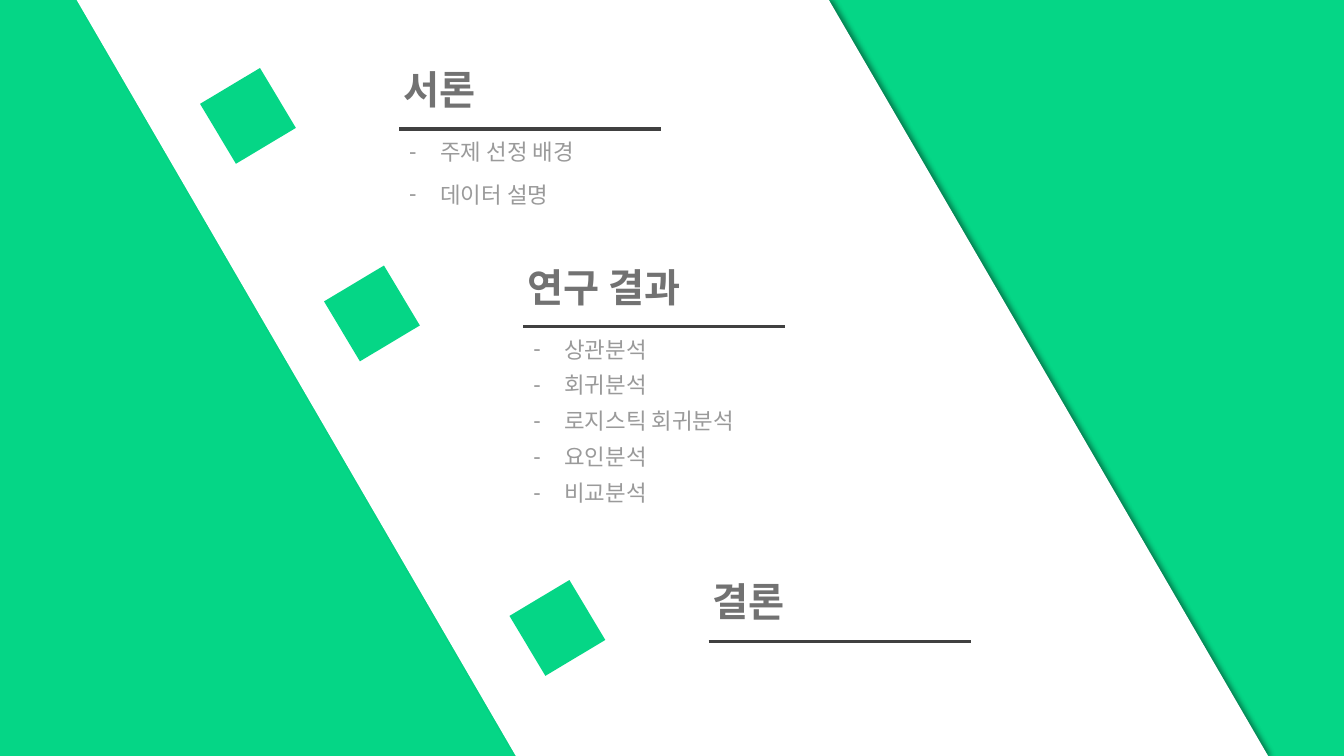
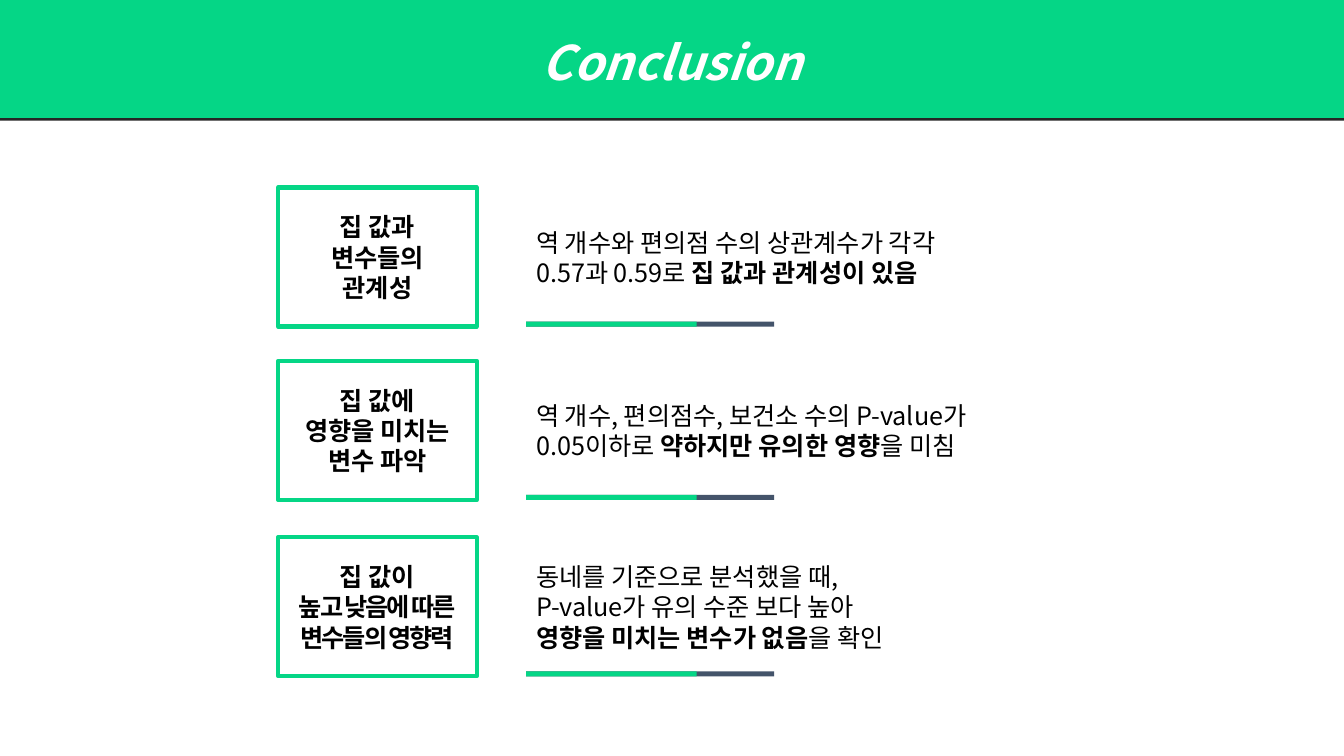
from dataclasses import dataclass, field

from lxml import etree
from pptx import Presentation
from pptx.dml.color import RGBColor
from pptx.enum.shapes import MSO_CONNECTOR, MSO_SHAPE
from pptx.enum.text import MSO_ANCHOR, MSO_AUTO_SIZE, PP_ALIGN
from pptx.oxml.ns import qn
from pptx.util import Inches, Pt

LEFT, CENTER = PP_ALIGN.LEFT, PP_ALIGN.CENTER
TOP, MIDDLE = MSO_ANCHOR.TOP, MSO_ANCHOR.MIDDLE
NO_FIT = MSO_AUTO_SIZE.NONE
RECT, DIAMOND = MSO_SHAPE.RECTANGLE, MSO_SHAPE.DIAMOND
PARALLELOGRAM, STRAIGHT = MSO_SHAPE.PARALLELOGRAM, MSO_CONNECTOR.STRAIGHT
CELL = Inches(0.1)
COLS, ROWS = 133.33, 75
COMPARISON, TITLE_ONLY = 4, 5


@dataclass(frozen=True)
class Theme:
    """Colours, font and text styles of the deck."""

    font: str = "Noto Sans CJK KR"
    green: str = "05D686"
    white: str = "FFFFFF"
    black: str = "000000"
    slate: str = "44546A"
    rule: str = "404040"
    edge: str = "262626"
    styles: dict = field(default_factory=lambda: {
        "title": ("FFFFFF", {"size": Pt(34), "bold": True, "italic": True}),
        "heading": ("727272", {"size": Pt(28), "bold": True}),
        "item": ("9A9A9A", {"size": Pt(16), "bold": False}),
        "label": ("000000", {"size": Pt(18), "bold": True}),
        "text": ("000000", {"size": Pt(18), "bold": False}),
    })


THEME = Theme()

SECTIONS = [
    {"rule": (39.6, 12.8), "heading": "서론", "gap": 11.3, "slots": (0, 2),
     "items": ["주제 선정 배경", "데이터 설명"]},
    {"rule": (51.9, 32.4), "heading": "연구 결과", "gap": 6.5, "slots": (1, 4),
     "items": ["상관분석", "회귀분석", "로지스틱 회귀분석", "요인분석", "비교분석"]},
    {"rule": (70.3, 63.6), "heading": "결론", "gap": 0, "slots": (3, None),
     "items": []},
]

FINDINGS = [
    (18.6, ["집 값과", "변수들의", "관계성"], 0,
     [[("역 개수와 편의점 수의 상관계수가 각각", "text")],
      [("0.57과 0.59로 ", "text"), ("집 값과 관계성이 있음", "label")]]),
    (35.8, ["집 값에", "영향을 미치는", "변수 파악"], 0,
     [[("역 개수, 편의점수, 보건소 수의 P-value가", "text")],
      [("0.05이하로 ", "text"), ("약하지만 유의한 영향", "label"),
       ("을 미침", "text")]]),
    (53.3, ["집 값이", "높고 낮음에 따른", "변수들의 영향력"], -1.5,
     [[("동네를 기준으로 분석했을 때,", "text")],
      [("P-value가 유의 수준 보다 높아", "text")],
      [("영향을 미치는 변수가 없음", "label"), ("을 확인", "text")]]),
]


def rgb(color):
    """Turn a hex string into a colour."""
    return RGBColor.from_string(color)


def cells(*counts):
    """Turn counts of grid columns or rows into lengths."""
    return [round(n * CELL) for n in counts]


def set_all(target, values):
    """Set each attribute named in a dict."""
    for name, value in values.items():
        setattr(target, name, value)


def place(sp, *box):
    """Move and size a shape on the grid."""
    set_all(sp, dict(zip(("left", "top", "width", "height"), cells(*box))))


def add_run(p, text, style, spacing=0):
    """Add a run in one of the theme's styles."""
    r = p.add_run()
    r.text = text
    color, values = THEME.styles[style]
    set_all(r.font, {**values, "name": THEME.font})
    r.font.color.rgb = rgb(color)
    rpr = r._r.get_or_add_rPr()
    etree.SubElement(rpr, qn("a:ea"), typeface=THEME.font)
    if spacing:
        rpr.set("spc", str(round(spacing * 100)))


def write(sp, lines, align=LEFT, anchor=TOP, **spacing):
    """Fill a shape with lines of (text, style, ...) runs."""
    tf = sp.text_frame
    set_all(tf, {"word_wrap": True, "auto_size": NO_FIT,
                 "vertical_anchor": anchor})
    for i, runs in enumerate(lines):
        p = tf.add_paragraph() if i else tf.paragraphs[0]
        set_all(p, {"alignment": align, "space_before": Pt(0), **spacing})
        for run in runs:
            add_run(p, *run)


def add_bullets(sp, char="-"):
    """Give every paragraph a hanging bullet."""
    indent = Inches(0.31)
    for p in sp.text_frame.paragraphs:
        ppr = p._p.get_or_add_pPr()
        ppr.set("marL", str(indent))
        ppr.set("indent", str(-indent))
        etree.SubElement(ppr, qn("a:buChar"), char=char)


def add_shadow(sp, color, alpha, blur, dist, angle):
    """Add an outer shadow to a shape."""
    sp.shadow.inherit = False
    effects = sp._element.spPr.find(qn("a:effectLst"))
    shadow = etree.SubElement(
        effects, qn("a:outerShdw"), blurRad=str(Pt(blur)), dist=str(Pt(dist)),
        dir=str(angle * 60000), algn="ctr", rotWithShape="0")
    clr = etree.SubElement(shadow, qn("a:srgbClr"), val=color)
    etree.SubElement(clr, qn("a:alpha"), val=str(alpha * 1000))


def add_block(s, kind, box, fill=None, line=None):
    """Add a preset shape with a plain fill or outline."""
    sp = s.shapes.add_shape(kind, *cells(*box))
    sp.shadow.inherit = False
    if fill:
        sp.fill.solid()
        sp.fill.fore_color.rgb = rgb(fill)
    else:
        sp.fill.background()
    if line:
        sp.line.color.rgb = rgb(line)
        sp.line.width = Pt(3)
    else:
        sp.line.fill.background()
    return sp


def add_rule(s, x, y, length):
    """Add a horizontal line."""
    line = s.shapes.add_connector(STRAIGHT, *cells(x, y, x + length, y))
    line.line.color.rgb = rgb(THEME.rule)
    line.line.width = Pt(2.25)
    etree.SubElement(line._element.spPr, qn("a:effectLst"))


def add_slide(prs, layout, background):
    """Add a slide with a plain background."""
    s = prs.slides.add_slide(prs.slide_layouts[layout])
    s.background.fill.solid()
    s.background.fill.fore_color.rgb = rgb(background)
    return s


def add_sheet(s):
    """Add the slanted white sheet behind everything else."""
    sp = add_block(s, PARALLELOGRAM, (7.6, 0, 118.2, ROWS), THEME.white)
    sp.adjustments[0] = 0.581
    sp._element.spPr.xfrm.set("flipV", "1")
    add_shadow(sp, THEME.black, 40, 4, 3, 0)
    s.shapes._spTree.insert(2, sp._element)


def add_section(s, rule, heading, gap, slots, items):
    """Add a marker, a heading with its rule, and a list."""
    x, y = rule
    marker = add_block(s, DIAMOND, (x - 19.9, y - 6.2, 9.8, 9.8), THEME.green)
    marker.rotation = 14.1
    add_rule(s, x, y, 26)
    holders = {ph.placeholder_format.idx: ph for ph in s.placeholders}
    head, body = slots
    place(holders[head], x - 0.6, y - 6.8, 34, 5.7)
    write(holders[head], [[(heading, "heading")]])
    if items:
        place(holders[body], x, y + 0.4, 34, 4 * len(items))
        write(holders[body], [[(item, "item")] for item in items],
              space_after=Pt(gap))
        add_bullets(holders[body])


def add_title_band(s, text):
    """Turn the title placeholder into the coloured title band."""
    band = s.shapes.title
    place(band, 0, -0.1, COLS, 11.8)
    band.fill.solid()
    band.fill.fore_color.rgb = rgb(THEME.green)
    add_shadow(band, THEME.edge, 100, 0, 2, 90)
    write(band, [[(text, "title")]], CENTER, line_spacing=1.5)


def add_finding(s, y, label, spacing, lines):
    """Add a framed label, its finding and a two-colour bar."""
    frame = add_block(s, RECT, (27.6, y, 19.7, 13.8), line=THEME.green)
    write(frame, [[(text, "label", spacing if i else 0)]
                  for i, text in enumerate(label)], CENTER, MIDDLE)
    box = s.shapes.add_textbox(*cells(52.2, y, 55.1, 13.8))
    write(box, lines, anchor=MIDDLE)
    for width, color in ((24.6, THEME.slate), (16.9, THEME.green)):
        add_block(s, RECT, (52.2, y + 13.3, width, 0.5), color)


def main():
    """Build the deck."""
    prs = Presentation()
    prs.slide_width, prs.slide_height = cells(COLS, ROWS)

    s = add_slide(prs, COMPARISON, THEME.green)
    add_sheet(s)
    for section in SECTIONS:
        add_section(s, **section)

    s = add_slide(prs, TITLE_ONLY, THEME.white)
    add_title_band(s, "Conclusion")
    for finding in FINDINGS:
        add_finding(s, *finding)

    prs.save("out.pptx")


if __name__ == "__main__":
    main()
